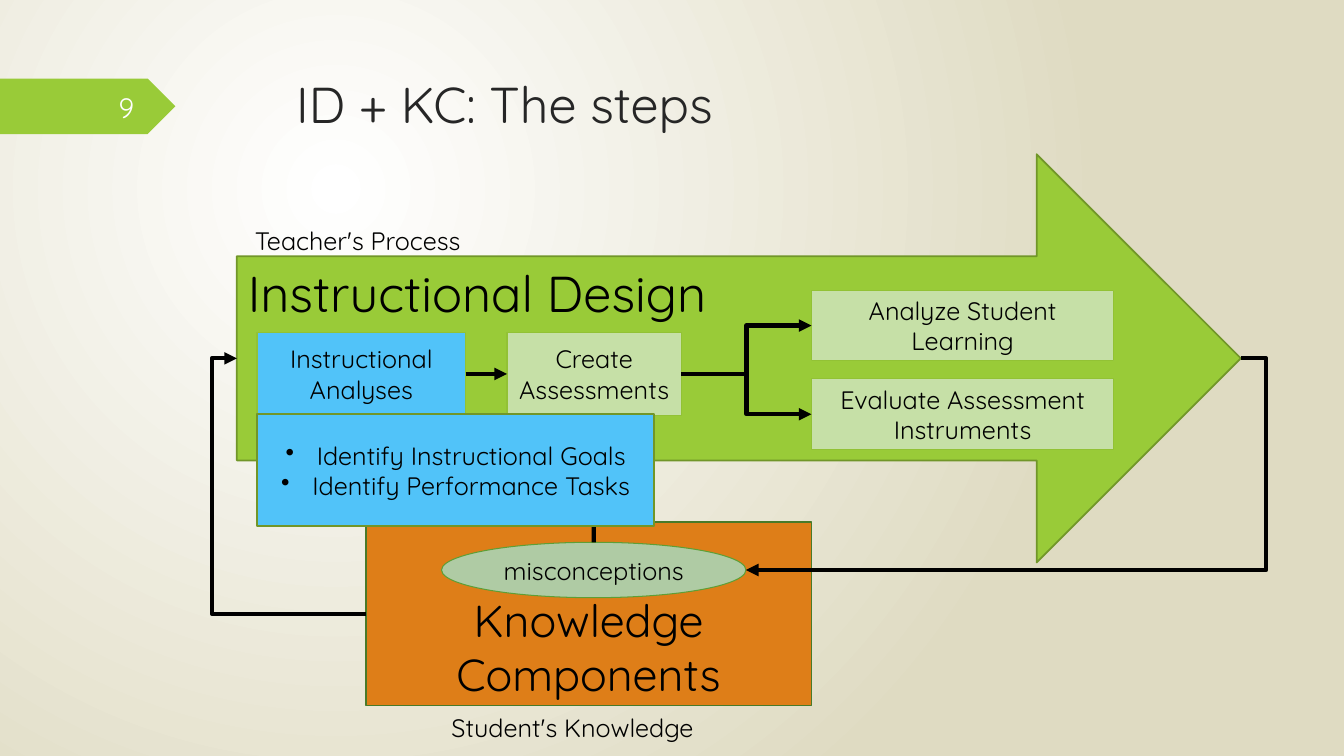
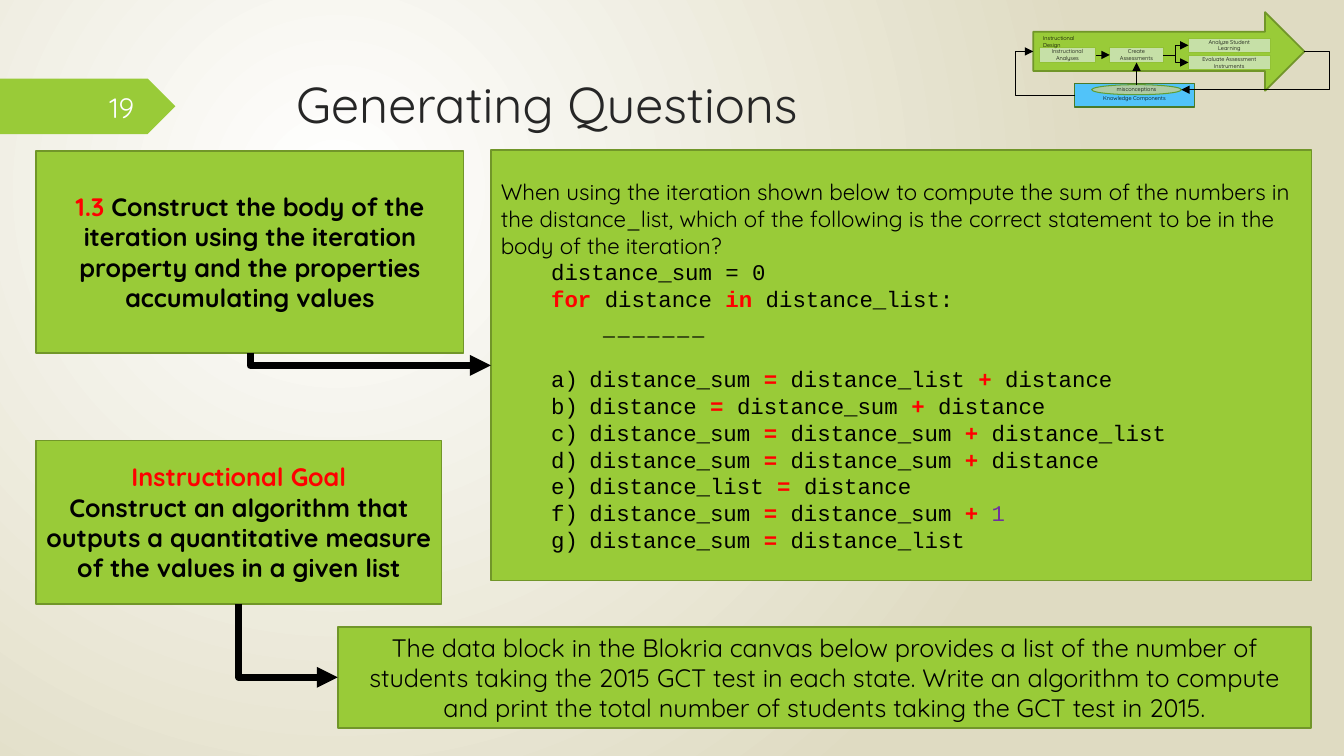
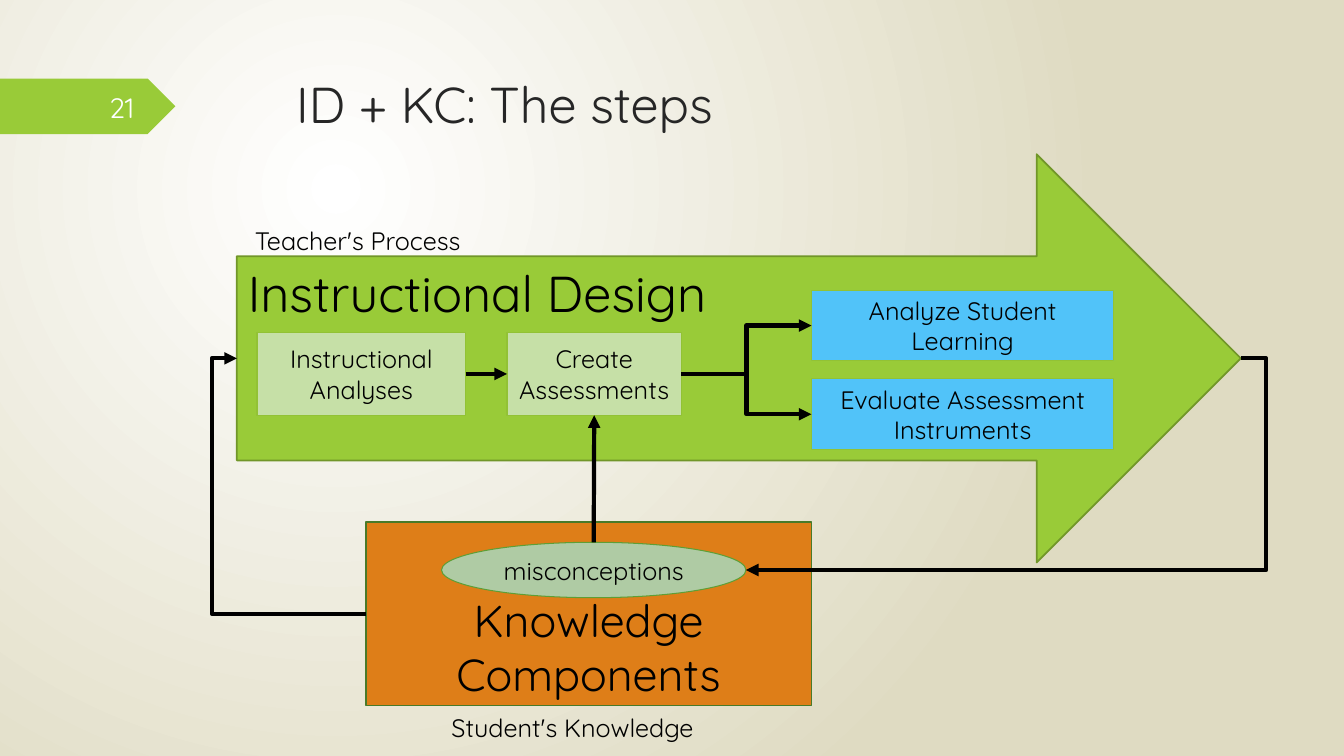
from itertools import groupby

from lxml.etree import SubElement
from pptx import Presentation
from pptx.dml.color import RGBColor
from pptx.enum.shapes import MSO_CONNECTOR as Link, MSO_SHAPE as Preset
from pptx.enum.text import MSO_ANCHOR as Anchor, PP_ALIGN as Align
from pptx.oxml.ns import qn
from pptx.util import Inches, Pt

COLUMNS, ROWS = 133.33, 75  # grid cells are a tenth of an inch
TOP, LEFT, BOTTOM, RIGHT = range(4)
ELLIPSE_RIGHT = 6
FONT, CODE_FONT = "Quicksand", "Courier New"

BLACK, WHITE, RED, PURPLE = "000000", "FEFFFF", "FF0000", "7030A0"
TITLE_COLOUR = "262626"
GREEN, GREEN_EDGE = "99CB38", "719629"
PALE, PALE_EDGE = "C6E0A7", "92C235"
BLUE, ORANGE, ORANGE_EDGE = "51C3F9", "DE7E18", "497A29"
SAGE, SAGE_EDGE = "AFCBA4", "5F9E35"
CODE_COLOURS = {"for": RED, "in": RED, "=": RED, "+": RED, "1": PURPLE}

# name: (preset, label, fill, edge, edge width)
DIAGRAM_PARTS = {
    "knowledge": (Preset.RECTANGLE, "Knowledge Components", ORANGE, ORANGE_EDGE, 1.25),
    "misconceptions": (Preset.OVAL, "misconceptions", SAGE, SAGE_EDGE, 0.75),
    "design": (Preset.RIGHT_ARROW, "", GREEN, GREEN_EDGE, 1.25),
    "create": (Preset.RECTANGLE, "Create Assessments", PALE, PALE_EDGE, 0.75),
    "analyze": (Preset.RECTANGLE, "Analyze Student Learning", PALE, PALE_EDGE, 0.75),
    "evaluate": (Preset.RECTANGLE, "Evaluate Assessment Instruments", PALE, PALE_EDGE, 0.75),
    "analyses": (Preset.RECTANGLE, "Instructional Analyses", PALE, PALE_EDGE, 0.75),
}
FULL_PLACES = {
    "knowledge": (36.3, 51.8, 44.2, 18.2),
    "misconceptions": (43.8, 53.8, 30.2, 5.5),
    "design": (23.5, 15.3, 99.6, 40.5),
    "create": (50.3, 33, 17.3, 8.2),
    "analyze": (80.5, 28.8, 30, 7),
    "evaluate": (80.5, 37.6, 30, 7),
    "analyses": (25.5, 33, 20.7, 8.2),
    "heading": (23.6, 25.5, 50.7, 7.1),
}
SMALL_PLACES = {
    "knowledge": (106.6, 8.3, 11.9, 2.3),
    "misconceptions": (108.3, 8.4, 8.9, 1),
    "design": (102.5, 1.2, 26.9, 7.8),
    "create": (110.1, 4.7, 5.3, 1.5),
    "analyze": (117.9, 3.8, 8.1, 1.4),
    "evaluate": (117.9, 5.5, 8.1, 1.4),
    "analyses": (103.1, 4.7, 5.6, 1.5),
    "heading": (102.5, 3.2, 5.4, 0.8),
}
CHOICES = [
    "distance_sum = distance_list + distance",
    "distance = distance_sum + distance",
    "distance_sum = distance_sum + distance_list",
    "distance_sum = distance_sum + distance",
    "distance_list = distance",
    "distance_sum = distance_sum + 1",
    "distance_sum = distance_list",
]


def colour(value):
    return RGBColor.from_string(value)


def cells(*counts):
    return [Inches(count / 10) for count in counts]


def code_runs(text):
    """Split code into (text, style) runs, colouring keywords and operators."""
    runs = []
    tokens = [(CODE_COLOURS.get(word, BLACK), word) for word in text.split(" ")]
    for shade, group in groupby(tokens, key=lambda token: token[0]):
        words = " ".join(word for _, word in group)
        runs.append((words, {"font": CODE_FONT, "shade": shade, "bold": shade == RED}))
    return [(words + (" " if number < len(runs) - 1 else ""), style)
            for number, (words, style) in enumerate(runs)]


class Deck:
    """The shared style and the slide being drawn."""

    def __init__(self):
        self.presentation = Presentation()
        self.presentation.slide_width, self.presentation.slide_height = cells(COLUMNS, ROWS)
        fill = self.presentation.slide_master.background.fill
        fill.gradient()
        for stop, shade in zip(fill.gradient_stops, ("FFFFFF", "DFDBC2")):
            stop.color.rgb = colour(shade)
        background = self.presentation.slide_master.element.find(".//" + qn("a:gradFill"))
        for linear in background.findall(qn("a:lin")):
            background.remove(linear)
        radial = SubElement(background, qn("a:path"), {"path": "circle"})
        SubElement(radial, qn("a:fillToRect"), l="50000", t="50000", r="100000", b="100000")

    def start(self, title, number):
        slide = self.presentation.slides.add_slide(self.presentation.slide_layouts[6])
        self.shapes = slide.shapes
        self.box((0, 7.8, 17.4, 5.5), GREEN, preset=Preset.PENTAGON)
        self.label((28.4, 6.8, 97.5, 14), title, 36, shade=TITLE_COLOUR)
        self.label((5.8, 8.6, 8.5, 4), number, 20, shade=WHITE,
                   anchor=Anchor.MIDDLE, align=Align.RIGHT)

    def box(self, place, fill, edge=None, width=1.25, preset=Preset.RECTANGLE):
        shape = self.shapes.add_shape(preset, *cells(*place))
        shape.shadow.inherit = False
        shape.fill.solid()
        shape.fill.fore_color.rgb = colour(fill)
        if edge:
            shape.line.color.rgb = colour(edge)
            shape.line.width = Pt(width)
        else:
            shape.line.fill.background()
        return shape

    def label(self, place, text, size, anchor=Anchor.TOP, align=Align.LEFT, shade=BLACK):
        shape = self.shapes.add_textbox(*cells(*place))
        self.add_text(shape, [text], size, anchor, align, shade)

    def add_text(self, shape, lines, size, anchor=Anchor.MIDDLE, align=Align.CENTER,
                 shade=BLACK, bold=False):
        """Add lines, each a string or a list of (text, style) runs; return the paragraphs."""
        frame = shape.text_frame
        frame.word_wrap = True
        frame.vertical_anchor = anchor
        for number, line in enumerate(lines):
            paragraph = frame.add_paragraph() if number else frame.paragraphs[0]
            paragraph.alignment = align
            for text, style in [(line, {})] if isinstance(line, str) else line:
                run = paragraph.add_run()
                run.text = text
                run.font.size = Pt(size)
                run.font.name = style.get("font", FONT)
                run.font.bold = style.get("bold", bold)
                run.font.color.rgb = colour(style.get("shade", shade))
        return frame.paragraphs

    def indent(self, paragraph, margin, first=0, bullet=None, **attributes):
        """Indent a paragraph by grid columns and optionally give it a bullet element."""
        properties = paragraph._p.get_or_add_pPr()
        for name, length in zip(("marL", "indent"), cells(margin, first)):
            properties.set(name, str(length))
        if bullet:
            SubElement(properties, qn(bullet), attributes)

    def link(self, begin, begin_side, end, end_side, width, kind=Link.ELBOW, bend=None):
        """Join two shapes by an arrow; bend is the elbow's share of the way."""
        connector = self.shapes.add_connector(kind, 0, 0, 0, 0)
        connector.begin_connect(begin, begin_side)
        connector.end_connect(end, end_side)
        connector.line.color.rgb = colour(BLACK)
        connector.line.width = Pt(width)
        SubElement(connector.get_or_add_ln(), qn("a:tailEnd"), type="triangle")
        properties = connector.element.spPr
        SubElement(properties, qn("a:effectLst"))
        frame = properties.xfrm
        if frame.flipH and frame.flipV:
            frame.flipH = frame.flipV = False
            frame.rot = 180
        if bend is not None:
            guides = properties.find(qn("a:prstGeom")).find(qn("a:avLst"))
            SubElement(guides, qn("a:gd"), name="adj1", fmla=f"val {round(bend * 100000)}")
        return connector

    def corner(self, begin, end, width):
        """Draw an arrow from a bottom side down and then right to a left side."""
        connector = self.link(begin, BOTTOM, end, LEFT, width)
        across, down = connector.width, connector.height
        connector.left += (across - down) // 2
        connector.top += (down - across) // 2
        connector.width, connector.height = down, across
        properties = connector.element.spPr
        properties.find(qn("a:prstGeom")).set("prst", "bentConnector2")
        properties.xfrm.rot = 270
        properties.xfrm.flipH = True

    def diagram(self, places, fills, size, heading_size, knowledge_size, width, left_loop):
        parts = {}
        for name, (preset, text, fill, edge, edge_width) in DIAGRAM_PARTS.items():
            shape = self.box(places[name], fills.get(name, fill), edge, edge_width, preset)
            parts[name] = shape
            if name == "knowledge":
                self.add_text(shape, [text], knowledge_size, Anchor.BOTTOM)
            elif text:
                self.add_text(shape, [text], size)
        design, knowledge = parts["design"], parts["knowledge"]
        oval, create = parts["misconceptions"], parts["create"]

        left_span = knowledge.left - design.left
        right_span = design.left + design.width - oval.left - oval.width
        left_detour, right_detour = cells(left_loop, 2.5)
        self.link(knowledge, LEFT, design, LEFT, width, bend=1 + left_detour / left_span)
        feedback = self.link(design, RIGHT, oval, RIGHT, width, bend=-right_detour / right_span)
        feedback.element.find(".//" + qn("a:endCxn")).set("idx", str(ELLIPSE_RIGHT))
        self.link(oval, TOP, create, BOTTOM, width, Link.STRAIGHT)
        for name in ("evaluate", "analyze"):
            self.link(create, RIGHT, parts[name], LEFT, width, bend=0.5)
        self.link(parts["analyses"], RIGHT, create, LEFT, width, Link.STRAIGHT)
        self.label(places["heading"], "Instructional Design", heading_size)

    def steps(self, number, highlighted):
        self.start("ID + KC: The steps", number)
        self.diagram(FULL_PLACES, dict.fromkeys(highlighted, BLUE), 18, 36, 32, 3, 2.5)
        self.label((24.3, 21.9, 28.3, 4), "Teacher's Process", 18)
        self.label((43.8, 70.2, 31.6, 4), "Student's Knowledge", 18)

    def thumbnail(self):
        slide_shapes = self.shapes
        self.shapes = slide_shapes.add_group_shape().shapes
        self.diagram(SMALL_PLACES, {"knowledge": BLUE}, 4, 4, 4, 0.5, 1.8)
        self.shapes = slide_shapes


def analyses_slide(deck):
    deck.steps("9", ["analyses"])
    goals = deck.box((25.5, 41.1, 39.4, 11.1), BLUE, GREEN_EDGE)
    lines = ["Identify Instructional Goals", "Identify Performance Tasks"]
    for paragraph in deck.add_text(goals, lines, 18):
        deck.indent(paragraph, 3.1, -3.1, "a:buChar", char="•")


def questions_slide(deck):
    deck.start("Generating Questions", "19")
    question = deck.box((48.7, 14.9, 81.4, 42.7), GREEN, GREEN_EDGE)
    lines = [
        "When using the iteration shown below to compute the sum of the numbers in the "
        "distance_list, which of the following is the correct statement to be in the body "
        "of the iteration?",
        [("distance_sum = 0", {"font": CODE_FONT})],
        code_runs("for distance in distance_list:"),
        "_______",
        *map(code_runs, CHOICES),
    ]
    paragraphs = deck.add_text(question, lines, 16, align=Align.LEFT)
    for paragraph, margin in zip(paragraphs[1:4], (5, 5, 10)):
        deck.indent(paragraph, margin)
    paragraphs[4].space_before = Pt(19)
    for paragraph in paragraphs[1:]:
        paragraph.line_spacing = Pt(19.1)
    for paragraph in paragraphs[4:]:
        deck.indent(paragraph, 8.8, -3.8, "a:buAutoNum", type="alphaLcParenR")

    task = deck.box((33.5, 62.2, 96.6, 10), GREEN, GREEN_EDGE)
    deck.add_text(task, [
        "The data block in the Blokria canvas below provides a list of the number of "
        "students taking the 2015 GCT test in each state. Write an algorithm to compute "
        "and print the total number of students taking the GCT test in 2015."], 18)

    objective = deck.box((3.6, 15, 42.4, 20), GREEN, GREEN_EDGE)
    deck.add_text(objective, [[
        ("1.3 ", {"shade": RED}),
        ("Construct the body of the iteration using the iteration property and the "
         "properties accumulating values", {})]], 18, bold=True)

    goal = deck.box((3.6, 43.7, 40.2, 16.2), GREEN, GREEN_EDGE)
    deck.add_text(goal, [
        [("Instructional Goal", {"shade": RED})],
        "Construct an algorithm that outputs a quantitative measure of the values in a "
        "given list"], 18, bold=True)

    deck.corner(objective, question, 5)
    deck.corner(goal, task, 5)
    deck.thumbnail()


def main():
    deck = Deck()
    analyses_slide(deck)
    questions_slide(deck)
    deck.steps("21", ["analyze", "evaluate"])
    deck.presentation.save("out.pptx")


if __name__ == "__main__":
    main()
